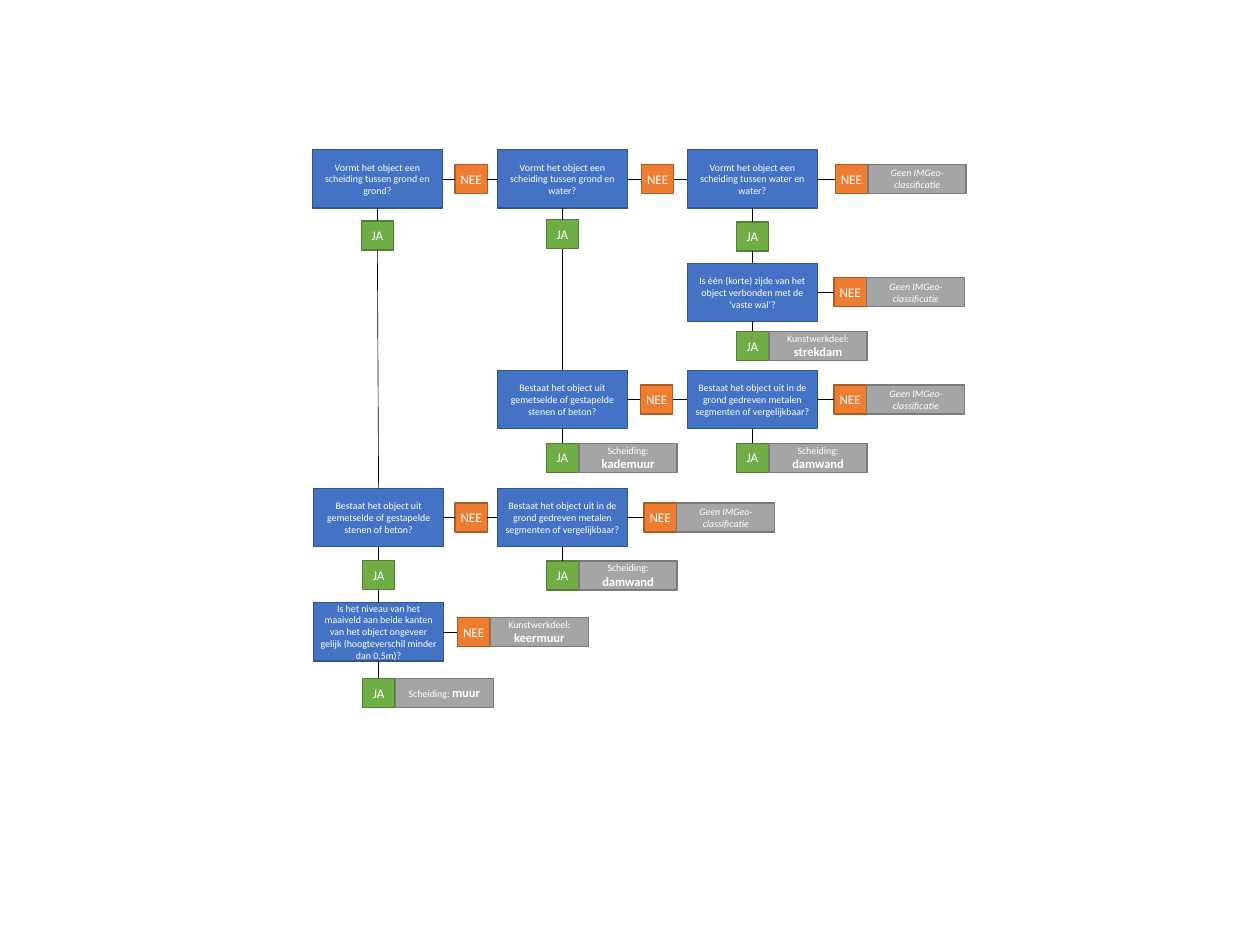
from collections import namedtuple

from lxml.etree import SubElement
from pptx import Presentation
from pptx.dml.color import RGBColor
from pptx.enum.shapes import MSO_CONNECTOR as Connector, MSO_SHAPE as Shape
from pptx.enum.text import MSO_ANCHOR as Anchor, PP_ALIGN as Align
from pptx.oxml.ns import qn
from pptx.util import Pt

QUESTION_W, QUESTION_H = 103.8, 46.6
BADGE_W, BADGE_H = 25.8, 23.2
RESULT_W = 78.4
TOP, LEFT, BOTTOM, RIGHT = range(4)

STYLES = {
    "question": ("4472C4", "325491", 7.9),
    "yes": ("70AD47", "538035", 10.5),
    "no": ("ED7D31", "AF5C24", 10.5),
    "result": ("A5A5A5", "7A7A7A", 7.9),
}

Step = namedtuple("Step", "question yes no")


def color(hex_code):
    return RGBColor.from_string(hex_code)


def add_box(page, style, left, top, width, height, text, strong="", italic=False):
    fill, line, size = STYLES[style]
    box = page.shapes.add_shape(Shape.RECTANGLE, Pt(left), Pt(top), Pt(width), Pt(height))
    box.shadow.inherit = False
    box.fill.solid()
    box.fill.fore_color.rgb = color(fill)
    box.line.color.rgb = color(line)
    box.line.width = Pt(1)
    frame = box.text_frame
    frame.word_wrap = style in ("question", "result")
    frame.vertical_anchor = Anchor.MIDDLE
    frame.margin_left = frame.margin_right = Pt(4.2)
    frame.margin_top = frame.margin_bottom = Pt(2.25)
    para = frame.paragraphs[0]
    para.alignment = Align.CENTER
    para.font.name = "Calibri"
    para.font.size = Pt(size)
    para.font.italic = italic
    para.font.color.rgb = color("FFFFFF")
    para.add_run().text = text
    if strong:
        span = para.add_run()
        span.text = strong
        span.font.size = Pt(10)
        span.font.bold = True
    return box


def add_link(page, start, start_site, end, end_site):
    link = page.shapes.add_connector(Connector.STRAIGHT, 0, 0, 0, 0)
    link.begin_connect(start, start_site)
    link.end_connect(end, end_site)
    link.line.color.rgb = color("000000")
    link.line.width = Pt(0.5)
    SubElement(link._element.spPr, qn("a:effectLst"))


def add_answer(page, style, left, top, text, result):
    badge = add_box(page, style, left, top, BADGE_W, BADGE_H, text)
    if result:
        label, strong = result
        add_box(page, "result", left + BADGE_W + 0.5, top, RESULT_W, BADGE_H,
                label, strong, italic=not strong)
    return badge


def add_step(page, left, top, text, yes_gap, no_gap, yes_result=None, no_result=None):
    question = add_box(page, "question", left, top, QUESTION_W, QUESTION_H, text)
    yes = add_answer(page, "yes", left + (QUESTION_W - BADGE_W) / 2,
                     top + QUESTION_H + yes_gap, "JA", yes_result)
    no = add_answer(page, "no", left + QUESTION_W + no_gap,
                    top + (QUESTION_H - BADGE_H) / 2, "NEE", no_result)
    add_link(page, question, BOTTOM, yes, TOP)
    add_link(page, question, RIGHT, no, LEFT)
    return Step(question, yes, no)


COLUMNS = (251, 398, 550)
ROWS = (119.9, 210.6, 296.4, 390.8, 482.2)

BORDER = "Vormt het object een scheiding tussen {}?"
MASONRY = "Bestaat het object uit gemetselde of gestapelde stenen of beton?"
SEGMENTS = "Bestaat het object uit in de grond gedreven metalen segmenten of vergelijkbaar?"
SHORE = "Is één (korte) zijde van het object verbonden met de ‘vaste wal’?"
LEVEL = ("Is het niveau van het maaiveld aan beide kanten van het object ongeveer gelijk "
         "(hoogteverschil minder dan 0,5m)?")

UNCLASSIFIED = ("Geen IMGeo-classificatie", "")
WALL = ("Scheiding: ", "muur")
QUAY = ("Scheiding: ", "kademuur")
SHEET_PILING = ("Scheiding: ", "damwand")
RETAINING = ("Kunstwerkdeel: ", "keermuur")
GROYNE = ("Kunstwerkdeel: ", "strekdam")

deck = Presentation()
deck.slide_width, deck.slide_height = Pt(1008), Pt(756)
page = deck.slides.add_slide(deck.slide_layouts[6])

land, shore, water = COLUMNS
border_row, groyne_row, quay_row, wall_row, level_row = ROWS

land_land = add_step(page, land - 1, border_row, BORDER.format("grond en grond"), 10.4, 10.2)
land_water = add_step(page, shore, border_row, BORDER.format("grond en water"), 9.2, 11.4)
water_water = add_step(page, water, border_row, BORDER.format("water en water"), 11.2, 14.4,
                       no_result=UNCLASSIFIED)
groyne = add_step(page, water, groyne_row, SHORE, 8, 13.4, GROYNE, UNCLASSIFIED)
quay = add_step(page, shore, quay_row, MASONRY, 11.6, 10.6, QUAY)
quay_sheet = add_step(page, water, quay_row, SEGMENTS, 11.6, 13.4, SHEET_PILING, UNCLASSIFIED)
wall = add_step(page, land, wall_row, MASONRY, 11, 9.2)
wall_sheet = add_step(page, shore, wall_row, SEGMENTS, 11.4, 13.4, SHEET_PILING, UNCLASSIFIED)
level = add_step(page, land, level_row, LEVEL, 14, 11.2, WALL, RETAINING)

for step, following in ((land_land, wall), (wall, level), (land_water, quay),
                        (water_water, groyne)):
    add_link(page, step.yes, BOTTOM, following.question, TOP)
for step, following in ((land_land, land_water), (land_water, water_water),
                        (quay, quay_sheet), (wall, wall_sheet)):
    add_link(page, step.no, RIGHT, following.question, LEFT)

deck.save("out.pptx")
